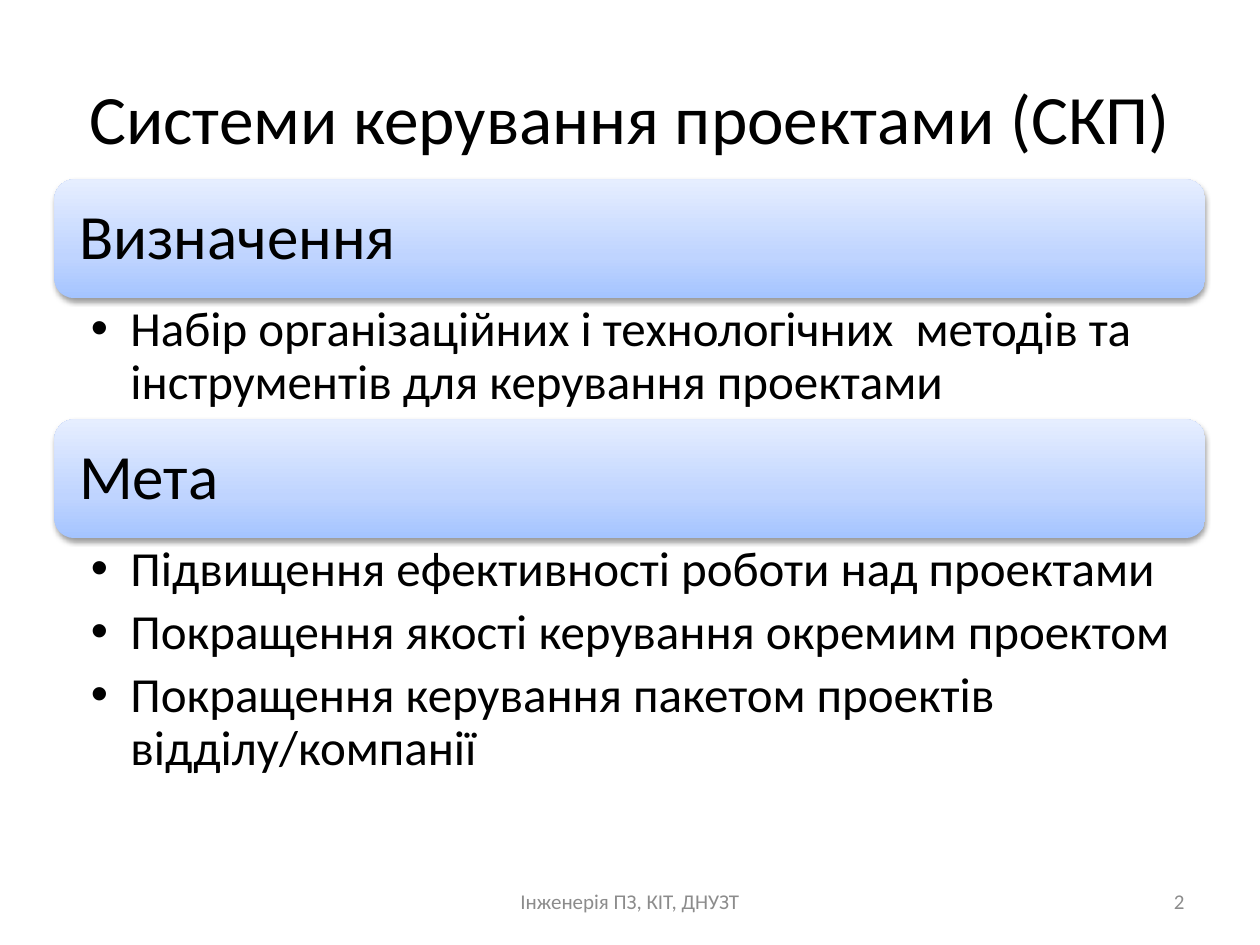
import pptx
import pptx.util
import pptx.dml.color
import pptx.enum.shapes
import pptx.enum.text
import pptx.oxml
import pptx.oxml.ns

Pt = pptx.util.Pt
ALIGN = pptx.enum.text.PP_ALIGN
ANCHOR = pptx.enum.text.MSO_ANCHOR

TITLE = "Системи керування проектами (СКП)"
SECTIONS = [
    ("Визначення", 69.2, [
        "Набір організаційних і технологічних  методів та інструментів для керування проектами",
    ]),
    ("Мета", 175.7, [
        "Підвищення ефективності роботи над проектами",
        "Покращення якості керування окремим проектом",
        "Покращення керування пакетом проектів відділу/компанії",
    ]),
]
FOOTER = "Інженерія ПЗ, КІТ, ДНУЗТ"
PAGE_NUMBER = "2"

COLORS = {"text": "000000", "footer": "8C8C8C", "shadow": "000000"}
BAND_STOPS = [(0, "A4C4FF"), (35, "BFD4FF"), (100, "E6EEFF")]
FONT = "Calibri"
LEFT, TOP, WIDTH, BAND_HEIGHT = 31.1, 102.5, 657.6, 67.9
BULLET_INDENT = 22.5
NAMESPACE = pptx.oxml.ns.nsdecls("a")


def write(shape, lines, size, color="text", align=ALIGN.LEFT, anchor=ANCHOR.MIDDLE,
          insets=(7.2, 3.6, 7.2, 3.6), line_spacing=1.0, space_after=0):
    frame = shape.text_frame
    frame.word_wrap = True
    frame.vertical_anchor = anchor
    (frame.margin_left, frame.margin_top,
     frame.margin_right, frame.margin_bottom) = map(Pt, insets)
    frame.text = "\n".join(lines)
    for para in frame.paragraphs:
        para.alignment = align
        para.line_spacing = line_spacing
        para.space_after = Pt(space_after)
        para.font.name = FONT
        para.font.size = Pt(size)
        para.font.color.rgb = pptx.dml.color.RGBColor.from_string(COLORS[color])


def add_text(page, bounds, lines, size, **style):
    box = page.shapes.add_textbox(*map(Pt, bounds))
    write(box, lines, size, **style)
    return box


def add_bullets(box):
    for para in box.text_frame.paragraphs:
        properties = para._p.get_or_add_pPr()
        properties.set("marL", str(Pt(BULLET_INDENT)))
        properties.set("indent", str(-Pt(BULLET_INDENT)))
        properties.append(pptx.oxml.parse_xml(f'<a:buFont {NAMESPACE} typeface="Arial"/>'))
        properties.append(pptx.oxml.parse_xml(f'<a:buChar {NAMESPACE} char="•"/>'))


def add_band(page, top, heading):
    band = page.shapes.add_shape(
        pptx.enum.shapes.MSO_SHAPE.ROUNDED_RECTANGLE,
        *map(Pt, (LEFT, top, WIDTH, BAND_HEIGHT)))
    stops = "".join(f'<a:gs pos="{position * 1000}"><a:srgbClr val="{color}"/></a:gs>'
                    for position, color in BAND_STOPS)
    band.line.fill.background()
    band.line._ln.addprevious(pptx.oxml.parse_xml(
        f'<a:gradFill {NAMESPACE} rotWithShape="1"><a:gsLst>{stops}</a:gsLst>'
        '<a:lin ang="16200000" scaled="0"/></a:gradFill>'))
    band.line._ln.addnext(pptx.oxml.parse_xml(
        f'<a:effectLst {NAMESPACE}><a:outerShdw blurRad="{Pt(3.1)}" dist="{Pt(1.6)}" '
        f'dir="5400000" rotWithShape="0"><a:srgbClr val="{COLORS["shadow"]}">'
        '<a:alpha val="38000"/></a:srgbClr></a:outerShdw></a:effectLst>'))
    write(band, [heading], 36, insets=(10.8,) * 4, line_spacing=0.9, space_after=12.6)


def main():
    deck = pptx.Presentation()
    deck.slide_width, deck.slide_height = Pt(720), Pt(540)
    page = deck.slides.add_slide(deck.slide_layouts[6])

    add_text(page, (36, 21.6, 648, 90), [TITLE], 39.6, align=ALIGN.CENTER)

    top = TOP
    for heading, body_height, points in SECTIONS:
        add_band(page, top, heading)
        top += BAND_HEIGHT
        body = add_text(page, (LEFT, top, WIDTH, body_height), points, 28,
                        anchor=ANCHOR.TOP, insets=(20.9, 3.6, 20.2, 3.6),
                        line_spacing=0.9, space_after=5.6)
        add_bullets(body)
        top += body_height

    add_text(page, (246, 500.5, 228, 28.8), [FOOTER], 12, color="footer", align=ALIGN.CENTER)
    add_text(page, (516, 500.5, 168, 28.8), [PAGE_NUMBER], 12, color="footer", align=ALIGN.RIGHT)

    deck.save("out.pptx")


if __name__ == "__main__":
    main()
